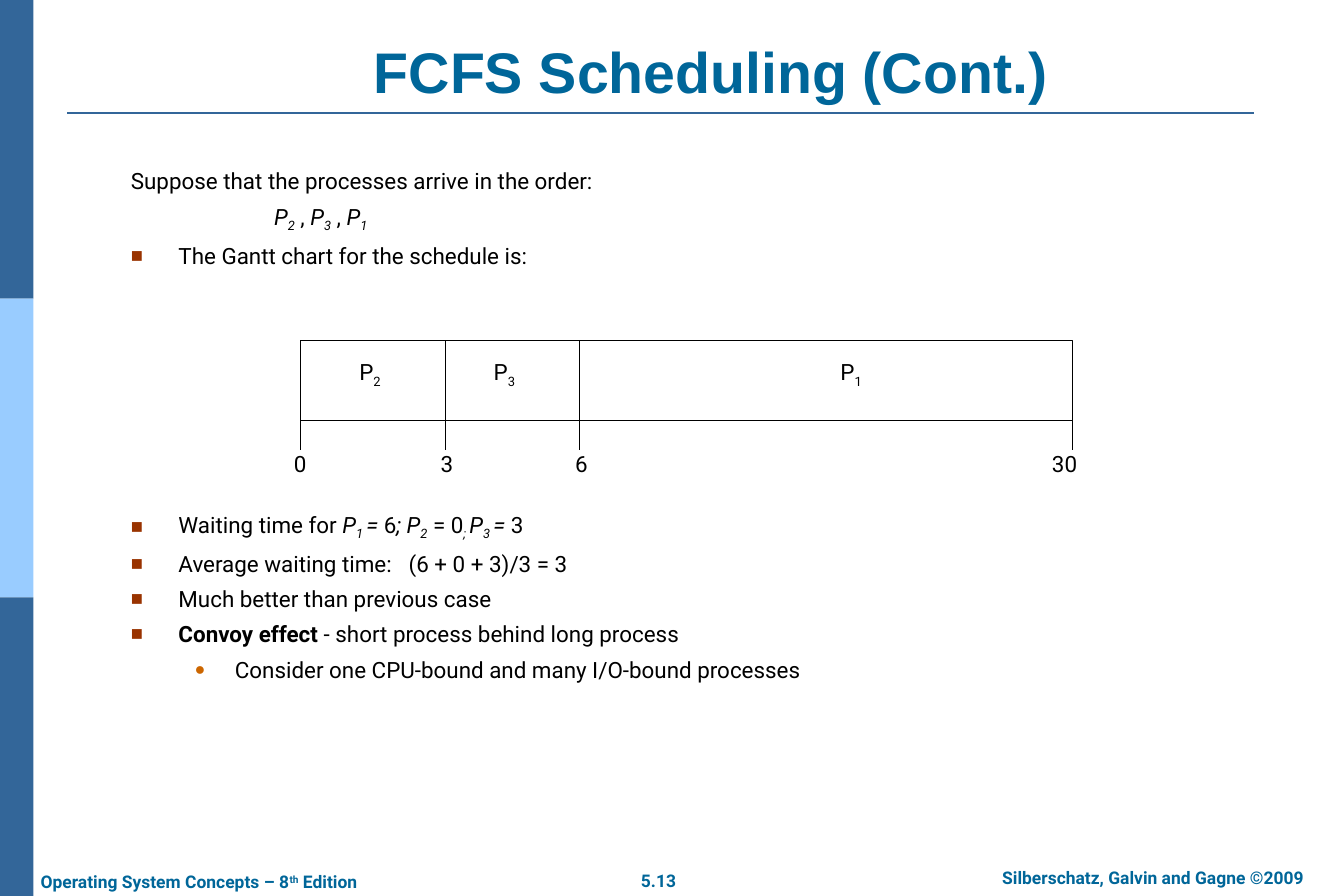
from dataclasses import dataclass
from itertools import pairwise

from lxml.etree import SubElement
from pptx import Presentation
from pptx.dml.color import RGBColor
from pptx.enum.shapes import MSO_CONNECTOR, MSO_SHAPE
from pptx.enum.text import MSO_ANCHOR, PP_ALIGN
from pptx.oxml.ns import qn
from pptx.slide import Slide
from pptx.text.text import _Paragraph as Paragraph
from pptx.util import Cm, Pt

COLORS = {
    "bar_dark": "336699",
    "bar_light": "99CCFF",
    "heading": "006699",
    "text": "000000",
    "white": "FFFFFF",
    "square": "993300",
    "dot": "CC6600",
}


@dataclass(frozen=True)
class Piece:
    text: str
    italic: bool = False
    bold: bool = False
    baseline: int = 0
    spacing: int = 0


@dataclass(frozen=True)
class Style:
    size: float = 18
    color: str = "text"
    bold: bool = False
    font: str = "Roboto"


@dataclass(frozen=True)
class Bullet:
    character: str
    color: str
    percent: int


@dataclass(frozen=True)
class Line:
    pieces: list[Piece]
    bullet: Bullet | None = None
    margin: float = 1.35
    indent: float = -1.35


@dataclass(frozen=True)
class Box:
    left: float
    top: float
    width: float
    height: float


@dataclass(frozen=True)
class Label:
    pieces: list[Piece]
    center: float
    top: float


def process(number: int, italic: bool = True) -> list[Piece]:
    """Process name with its number as a subscript."""
    return [Piece("P", italic), Piece(str(number), italic, baseline=-25)]


BODY = Style()
FOOTER = Style(14, "heading", True)
SQUARE = Bullet("■", "square", 90)
DOT = Bullet("●", "dot", 80)

SETUP = [
    Line([Piece("Suppose that the processes arrive in the order:")], margin=0, indent=0),
    Line([*process(2), Piece(" , "), *process(3), Piece(" , "), *process(1)],
         margin=4.06, indent=0),
    Line([Piece("The Gantt chart for the schedule is:")], SQUARE),
]
RESULTS = [
    Line([Piece("Waiting time for "), *process(1), Piece(" ", True, baseline=-25),
          Piece("=", True), Piece(" 6"), Piece("; ", True), *process(2), Piece(" = 0"),
          Piece("; ", True, baseline=-25), *process(3), Piece(" ", True, baseline=-25),
          Piece("= ", True), Piece("3")], SQUARE),
    Line([Piece("Average waiting time:"), Piece(" ", spacing=900),
          Piece("(6 + 0 + 3)/3 = 3")], SQUARE),
    Line([Piece("Much better than previous case")], SQUARE),
    Line([Piece("Convoy effect ", bold=True),
          Piece("- short process behind long process")], SQUARE),
    Line([Piece("Consider one CPU-bound and many I/O-bound processes")], DOT, 2.95, -1.14),
]

GANTT_TOP, GANTT_BOTTOM, TICK_BOTTOM = 9.65, 11.91, 12.75
GANTT_EDGES = [8.51, 12.62, 16.43, 30.4]
GANTT_LABELS = [
    *(Label(process(number, italic=False), center, 10.08)
      for number, center in [(2, 10.49), (3, 14.3), (1, 24.13)]),
    *(Label([Piece(time)], center, 12.62)
      for time, center in [("0", 8.51), ("3", 12.67), ("6", 16.48), ("30", 30.18)]),
]


def color(name: str) -> RGBColor:
    return RGBColor.from_string(COLORS[name])


def write_pieces(paragraph: Paragraph, pieces: list[Piece], style: Style) -> None:
    for piece in pieces:
        run = paragraph.add_run()
        run.text = piece.text
        run.font.name = style.font
        run.font.size = Pt(style.size)
        run.font.bold = style.bold or piece.bold
        run.font.italic = piece.italic
        run.font.color.rgb = color(style.color)
        properties = run._r.get_or_add_rPr()
        if piece.baseline:
            properties.set("baseline", str(piece.baseline * 1000))
        if piece.spacing:
            properties.set("spc", str(piece.spacing))


def format_line(paragraph: Paragraph, line: Line) -> None:
    """Set the indents and the bullet of a body line."""
    properties = paragraph._p.get_or_add_pPr()
    properties.set("marL", str(Cm(line.margin)))
    properties.set("indent", str(Cm(line.indent)))
    if line.bullet:
        bullet_color = SubElement(properties, qn("a:buClr"))
        SubElement(bullet_color, qn("a:srgbClr"), val=COLORS[line.bullet.color])
        SubElement(properties, qn("a:buSzPct"), val=str(line.bullet.percent * 1000))
        SubElement(properties, qn("a:buFont"), typeface="Arial")
        SubElement(properties, qn("a:buChar"), char=line.bullet.character)


def add_text(slide: Slide, box: Box, lines: list[Line], style: Style = BODY,
             align: PP_ALIGN = PP_ALIGN.LEFT, anchor: MSO_ANCHOR = MSO_ANCHOR.TOP,
             side_inset: float = 0.36) -> None:
    shape = slide.shapes.add_textbox(Cm(box.left), Cm(box.top), Cm(box.width), Cm(box.height))
    frame = shape.text_frame
    frame.word_wrap = True
    frame.vertical_anchor = anchor
    frame.margin_left = frame.margin_right = Cm(side_inset)
    frame.margin_top = frame.margin_bottom = Cm(0.18)
    for index, line in enumerate(lines):
        paragraph = frame.add_paragraph() if index else frame.paragraphs[0]
        paragraph.alignment = align
        paragraph.space_before = Pt(6.8 if index else 0)
        format_line(paragraph, line)
        write_pieces(paragraph, line.pieces, style)


def add_rectangle(slide: Slide, box: Box, fill: str, outline: str | None = None) -> None:
    shape = slide.shapes.add_shape(MSO_SHAPE.RECTANGLE, Cm(box.left), Cm(box.top),
                                   Cm(box.width), Cm(box.height))
    shape.shadow.inherit = False
    shape.fill.solid()
    shape.fill.fore_color.rgb = color(fill)
    if outline:
        shape.line.color.rgb = color(outline)
        shape.line.width = Pt(0.75)
    else:
        shape.line.fill.background()


def add_line(slide: Slide, start: tuple[float, float], end: tuple[float, float],
             line_color: str = "text", width: float = 0.75) -> None:
    connector = slide.shapes.add_connector(MSO_CONNECTOR.STRAIGHT, *map(Cm, start + end))
    connector.line.color.rgb = color(line_color)
    connector.line.width = Pt(width)
    SubElement(connector._element.spPr, qn("a:effectLst"))


def add_frame(slide: Slide) -> None:
    """Draw the side bars, the title with its rule, and the footer."""
    bar_height = 25.4 / 3
    for index, fill in enumerate(["bar_dark", "bar_light", "bar_dark"]):
        add_rectangle(slide, Box(0, index * bar_height, 0.95, bar_height), fill)
    add_line(slide, (1.91, 3.2), (35.56, 3.2), "bar_dark", 1.5)

    edition = [Piece("Operating System Concepts – 8"), Piece("th", baseline=30),
               Piece(" Edition")]
    credit = [Piece("Silberschatz, Galvin and Gagne ©2009")]
    for box, pieces, align in [
        (Box(17.53, 24.49, 2.28, 0.91), [Piece("5.13")], PP_ALIGN.CENTER),
        (Box(27.28, 24.41, 10.82, 0.97), credit, PP_ALIGN.CENTER),
        (Box(0.79, 24.51, 10.24, 0.89), edition, PP_ALIGN.LEFT),
    ]:
        add_text(slide, box, [Line(pieces, margin=0, indent=0)], FOOTER, align)
    add_text(slide, Box(4.09, 1.02, 32.11, 2.13),
             [Line([Piece("FCFS Scheduling (Cont.)")], margin=0, indent=0)],
             Style(46, "heading", True, "Arial"), PP_ALIGN.CENTER, MSO_ANCHOR.BOTTOM)


def add_gantt_chart(slide: Slide) -> None:
    for left, right in pairwise(GANTT_EDGES):
        add_rectangle(slide, Box(left, GANTT_TOP, right - left, GANTT_BOTTOM - GANTT_TOP),
                      "white", "text")
    for edge in GANTT_EDGES:
        add_line(slide, (edge, GANTT_BOTTOM), (edge, TICK_BOTTOM))
    for label in GANTT_LABELS:
        add_text(slide, Box(label.center - 0.6, label.top, 1.2, 1.02),
                 [Line(label.pieces, margin=0, indent=0)], align=PP_ALIGN.CENTER,
                 anchor=MSO_ANCHOR.MIDDLE, side_inset=0)


def main() -> None:
    presentation = Presentation()
    presentation.slide_width, presentation.slide_height = Cm(38.1), Cm(25.4)
    slide = presentation.slides.add_slide(presentation.slide_layouts[6])
    add_frame(slide)
    add_text(slide, Box(3.35, 4.57, 34.29, 3.8), SETUP)
    add_gantt_chart(slide)
    add_text(slide, Box(3.35, 14.3, 34.29, 6), RESULTS)
    presentation.save("out.pptx")


if __name__ == "__main__":
    main()
